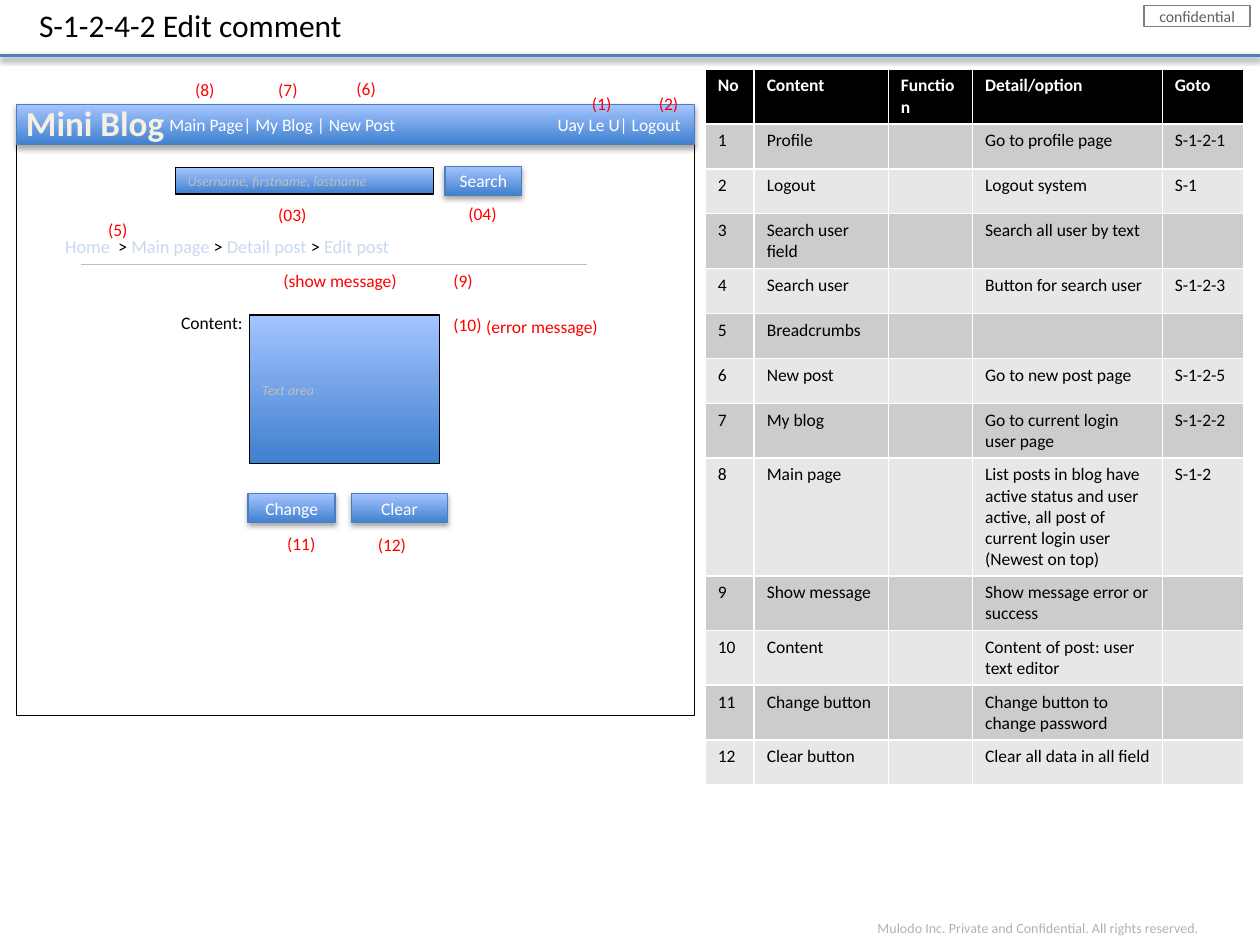
from lxml import etree
from pptx import Presentation
from pptx.dml.color import RGBColor
from pptx.enum.shapes import MSO_CONNECTOR, MSO_SHAPE
from pptx.enum.text import MSO_ANCHOR, PP_ALIGN
from pptx.oxml import parse_xml
from pptx.oxml.ns import nsdecls, qn
from pptx.util import Pt

LEFT, CENTER = PP_ALIGN.LEFT, PP_ALIGN.CENTER
TOP, MIDDLE = MSO_ANCHOR.TOP, MSO_ANCHOR.MIDDLE
RECTANGLE, STRAIGHT = MSO_SHAPE.RECTANGLE, MSO_CONNECTOR.STRAIGHT
BLACK, WHITE, RED = "000000", "FFFFFF", "FF0000"
SILVER, EDGE, LINK = "BFBFBF", "4B7EBC", "C6D9F1"

COLUMN_WIDTHS = [28, 76.6, 48.2, 108.4, 46.3]
ITEMS = [
    ("No", "Content", "Function", "Detail/option", "Goto"),
    ("1", "Profile", "", "Go to profile page", "S-1-2-1"),
    ("2", "Logout", "", "Logout system", "S-1"),
    ("3", "Search user field", "", "Search all user by text", ""),
    ("4", "Search user", "", "Button for search user", "S-1-2-3"),
    ("5", "Breadcrumbs", "", "", ""),
    ("6", "New post", "", "Go to new post page", "S-1-2-5"),
    ("7", "My blog", "", "Go to current login user page", "S-1-2-2"),
    ("8", "Main page", "", "List posts in blog have active status and user active, "
     "all post of current login user (Newest on top)", "S-1-2"),
    ("9", "Show message", "", "Show message error or success", ""),
    ("10", "Content", "", "Content of post: user text editor", ""),
    ("11", "Change button", "", "Change button to change password", ""),
    ("12", "Clear button", "", "Clear all data in all field", ""),
]
MARKS = [
    ("(8)", 95, -18, 25.9), ("(7)", 142.5, -18, 25.9), ("(6)", 187.2, -18.8, 25.9),
    ("(1)", 321.8, -10.1, 25.9), ("(2)", 360, -10.1, 25.9),
    ("(03)", 142.5, 53.2, 31), ("(04)", 251.2, 52.5, 31), ("(5)", 45.3, 61.9, 25.9),
    ("(show message)", 145.4, 90.7, 80.6), ("(9)", 242.6, 90.7, 25.9),
    ("(10)", 242.6, 115.9, 31), ("(error message)", 261.3, 117.3, 79.2),
    ("(11)", 147.6, 241.2, 31), ("(12)", 199.4, 241.9, 31),
]
CRUMBS = [("Home ", LINK), (" > ", BLACK), ("Main page ", LINK), ("> ", BLACK),
          ("Detail post ", LINK), ("> ", BLACK), ("Edit post", LINK)]


def rgb(value):
    """Turn a hex string into a colour."""
    return RGBColor.from_string(value)


def style(paragraph, size, color, bold=False, italic=False, align=LEFT):
    """Set the font and alignment of a paragraph."""
    paragraph.alignment = align
    font = paragraph.font
    font.name, font.size, font.bold, font.italic = "Calibri", Pt(size), bold, italic
    font.color.rgb = rgb(color)


def add_label(slide, text, x, y, w, h, size=10, color=RED, **options):
    """Add a one-line text box and return its paragraph."""
    frame = slide.shapes.add_textbox(Pt(x), Pt(y), Pt(w), Pt(h)).text_frame
    frame.word_wrap = False
    paragraph = frame.paragraphs[0]
    if text:
        paragraph.add_run().text = text
    style(paragraph, size, color, **options)
    return paragraph


def add_box(slide, x, y, w, h, line, gradient=True):
    """Add an outlined rectangle, white or with the blue gradient."""
    box = slide.shapes.add_shape(RECTANGLE, Pt(x), Pt(y), Pt(w), Pt(h))
    box.shadow.inherit = False
    if gradient:
        box.fill.gradient()
        box.fill.gradient_angle = 90
        for stop, color in zip(box.fill.gradient_stops, ("3F80CE", "A4C4FF")):
            stop.color.rgb = rgb(color)
            stop.position = 0 if color == "3F80CE" else 1
    else:
        box.fill.solid()
        box.fill.fore_color.rgb = rgb(WHITE)
    box.line.color.rgb = rgb(line)
    box.line.width = Pt(0.75)
    box.text_frame.vertical_anchor = MIDDLE
    return box


def add_shadow(effects, distance, alpha):
    """Put a soft black shadow below a shape."""
    effects.append(parse_xml(
        f'<a:outerShdw {nsdecls("a")} blurRad="{Pt(3.1)}" dist="{Pt(distance)}" '
        f'dir="5400000" rotWithShape="0"><a:srgbClr val="{BLACK}">'
        f'<a:alpha val="{alpha * 1000}"/></a:srgbClr></a:outerShdw>'))


def add_rule(slide, x, y, w, color, width):
    """Add a horizontal line and return its empty effect list."""
    rule = slide.shapes.add_connector(STRAIGHT, Pt(x), Pt(y), Pt(x + w), Pt(y))
    rule.line.color.rgb = rgb(color)
    rule.line.width = Pt(width)
    return etree.SubElement(rule._element.spPr, qn("a:effectLst"))


def add_raised(slide, x, y, w, h):
    """Add a gradient rectangle with a shadow."""
    box = add_box(slide, x, y, w, h, EDGE)
    add_shadow(box._element.spPr.find(qn("a:effectLst")), 1.8, 35)
    return box


def add_button(slide, text, x, y, w):
    """Add a raised button with a centred caption."""
    frame = add_raised(slide, x, y, w, 16.6).text_frame
    frame.text = text
    style(frame.paragraphs[0], 10, WHITE, align=CENTER)


def add_input(slide, hint, x, y, w, h):
    """Add an input field with an italic hint."""
    frame = add_box(slide, x, y, w, h, BLACK).text_frame
    frame.text = hint
    style(frame.paragraphs[0], 8, SILVER, italic=True)


def add_header(slide, x, y, w):
    """Place the title, the header rule and the confidential tag."""
    title = slide.shapes.title
    title.left, title.top, title.width, title.height = Pt(x + 15.1), Pt(y), Pt(190), Pt(29)
    title.text_frame.text = "S-1-2-4-2 Edit comment"
    title.text_frame.word_wrap = False
    title.text_frame.vertical_anchor = TOP
    style(title.text_frame.paragraphs[0], 18, BLACK)
    add_shadow(add_rule(slide, x, y + 31.6, w, "4F81BD", 2), 1.6, 38)
    tag = add_box(slide, x + w - 66.2, y + 3, 60.5, 12.2, "808080", gradient=False)
    tag.text_frame.text = "confidential"
    tag.text_frame.word_wrap = False
    style(tag.text_frame.paragraphs[0], 9, "5F5F5F", align=CENTER)


def add_nav_bar(slide, x, y, w):
    """Place the blog bar with its brand, links and user links."""
    inset = 87.3
    frame = add_raised(slide, x, y, w, 23).text_frame
    frame.margin_left = Pt(inset)
    frame.text = "Main Page| My Blog | New Post\tUay Le U| Logout"
    paragraph = frame.paragraphs[0]
    tabs = etree.SubElement(paragraph._p.get_or_add_pPr(), qn("a:tabLst"))
    etree.SubElement(tabs, qn("a:tab"), pos=str(Pt(w - inset - 8)), algn="r")
    style(paragraph, 10, WHITE)
    brand = add_label(slide, "Mini Blog", x - 2.2, y - 5.1, 94.3, 31.7, 20, "F4F1E3",
                      bold=True, align=CENTER)
    brand.runs[0]._r.get_or_add_rPr().insert(0, parse_xml(
        f'<a:ln {nsdecls("a")} w="{Pt(1)}"><a:solidFill><a:srgbClr val="054697"/>'
        '</a:solidFill></a:ln>'))


def add_wireframe(slide, x, y, w, h):
    """Place the page mock-up with its fields, buttons and red marks."""
    add_box(slide, x, y + 4.3, w, h - 4.3, BLACK, gradient=False)
    add_nav_bar(slide, x, y, w)
    add_input(slide, "Username, firstname, lastname", x + 90.7, y + 36, 147.6, 15.1)
    add_button(slide, "Search", x + 244.8, y + 35.2, 43.9)
    add_rule(slide, x + 36.7, y + 91.4, 289.4, SILVER, 0.25)
    crumbs = add_label(slide, "", x + 20.8, y + 71.2, 203, 20.2, 10.5, BLACK)
    for text, color in CRUMBS:
        crumb = crumbs.add_run()
        crumb.text = text
        crumb.font.color.rgb = rgb(color)
    add_label(slide, "Content:", x + 87.1, y + 115.2, 50.4, 19.4, color=BLACK)
    add_input(slide, "Text area", x + 133.2, y + 120.2, 108.7, 85)
    add_button(slide, "Change", x + 132.4, y + 222.4, 49.7)
    add_button(slide, "Clear", x + 191.5, y + 222.4, 54.7)
    for text, left, top, width in MARKS:
        add_label(slide, text, x + left, y + top, width, 19.4)


def add_item_table(slide, x, y, w, row_height):
    """Place the table that explains the marks."""
    table = slide.shapes.add_table(len(ITEMS), len(COLUMN_WIDTHS), Pt(x), Pt(y),
                                   Pt(w), Pt(row_height * len(ITEMS))).table
    for column, width in zip(table.columns, COLUMN_WIDTHS):
        column.width = Pt(width)
    for index, (row, texts) in enumerate(zip(table.rows, ITEMS)):
        row.height = Pt(row_height)
        header = index == 0
        fill = BLACK if header else ("E7E7E7", "CCCCCC")[index % 2]
        for cell, text in zip(row.cells, texts):
            cell.fill.solid()
            cell.fill.fore_color.rgb = rgb(fill)
            cell.text = text
            style(cell.text_frame.paragraphs[0], 10, WHITE if header else BLACK, bold=header)


def main():
    """Build the slide and save it."""
    deck = Presentation()
    deck.slide_width, deck.slide_height = Pt(720), Pt(540)
    slide = deck.slides.add_slide(deck.slide_layouts[5])
    add_header(slide, 0, 0, 720)
    add_wireframe(slide, 9.4, 59.8, 387.4, 349.2)
    add_item_table(slide, 403, 39.5, sum(COLUMN_WIDTHS), 25.7)
    add_label(slide, "Mulodo Inc. Private and Confidential. All rights reserved.",
              494, 522, 198.7, 17.3, 8, "B2B2B2", align=CENTER)
    deck.save("out.pptx")


if __name__ == "__main__":
    main()
